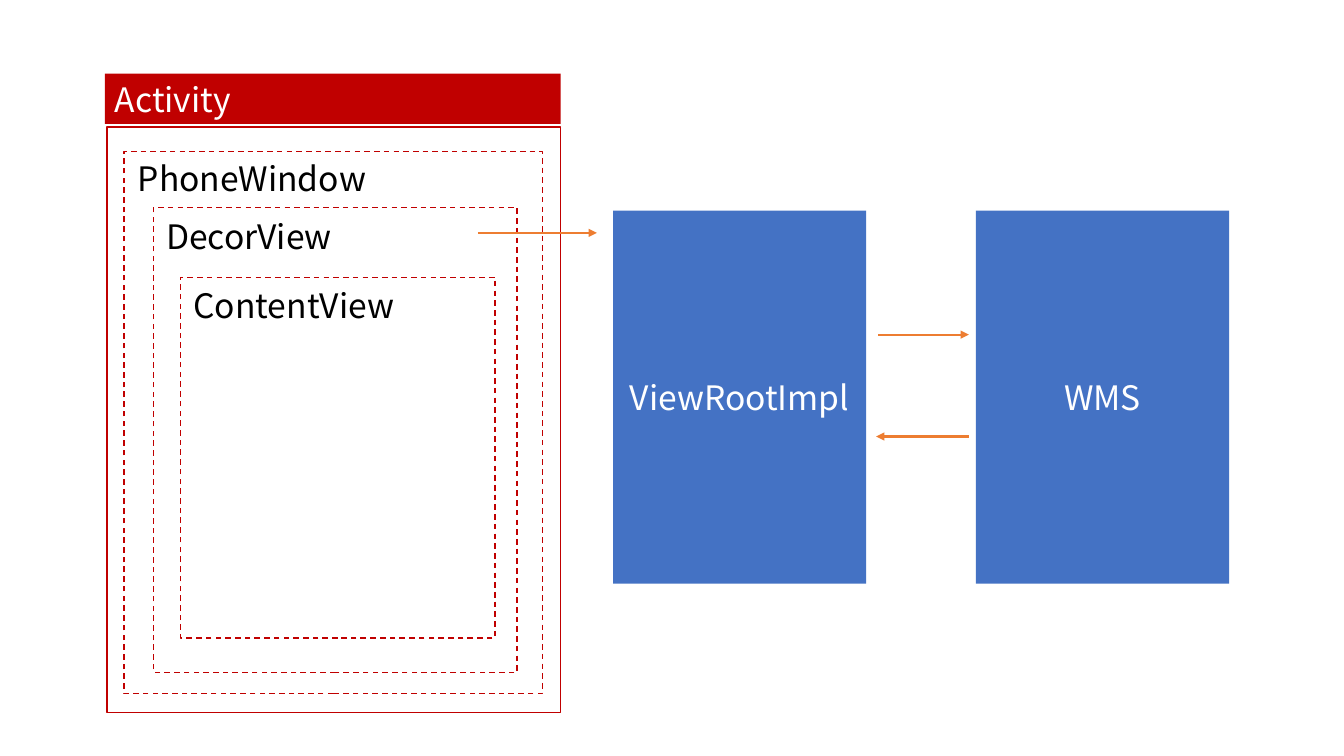
from lxml.etree import SubElement
from pptx import Presentation
from pptx.dml.color import RGBColor
from pptx.enum.dml import MSO_LINE
from pptx.enum.shapes import MSO_CONNECTOR, MSO_SHAPE
from pptx.enum.text import MSO_ANCHOR, MSO_AUTO_SIZE, PP_ALIGN
from pptx.oxml.ns import qn
from pptx.util import Pt

PX = 9144
FONT = "Noto Sans CJK SC"
COLORS = {
    "red": "C00000",
    "blue": "4472C4",
    "orange": "ED7D31",
    "black": "000000",
    "white": "FFFFFF",
}


def add_rectangle(bounds, fill=None, line=None):
    box = page.shapes.add_shape(MSO_SHAPE.RECTANGLE, *[n * PX for n in bounds])
    box.shadow.inherit = False
    if fill:
        box.fill.solid()
        box.fill.fore_color.rgb = RGBColor.from_string(COLORS[fill])
    else:
        box.fill.background()
    if line:
        box.line.color.rgb = RGBColor.from_string(COLORS[line])
        box.line.width = Pt(1)
    else:
        box.line.fill.background()
    return box


def write_text(box, text, color, align, anchor, wrap=True):
    frame = box.text_frame
    frame.word_wrap = wrap
    frame.vertical_anchor = anchor
    frame.text = text
    paragraph = frame.paragraphs[0]
    paragraph.alignment = align
    font = paragraph.runs[0].font
    font.name = FONT
    font.size = Pt(24)
    font.color.rgb = RGBColor.from_string(COLORS[color])


deck = Presentation()
deck.slide_width = 1333 * PX
deck.slide_height = 750 * PX
page = deck.slides.add_slide(deck.slide_layouts[6])

add_rectangle((106, 126, 450, 581), line="red")
header = add_rectangle((104, 73, 452, 50), fill="red")
write_text(header, "Activity", "white", PP_ALIGN.LEFT, MSO_ANCHOR.TOP)
header.text_frame.auto_size = MSO_AUTO_SIZE.SHAPE_TO_FIT_TEXT

nested_views = [
    ("PhoneWindow", (123, 150, 415, 538), (127, 152, 256, 50)),
    ("DecorView", (152, 206, 361, 461), (155, 209, 193, 50)),
    ("ContentView", (179, 275, 312, 358), (182, 278, 227, 50)),
]
for name, frame_bounds, label_bounds in nested_views:
    outline = add_rectangle(frame_bounds, line="red")
    outline.line.dash_style = MSO_LINE.DASH
    label = page.shapes.add_textbox(*[n * PX for n in label_bounds])
    write_text(label, name, "black", PP_ALIGN.LEFT, MSO_ANCHOR.TOP, wrap=False)
    label.text_frame.auto_size = MSO_AUTO_SIZE.SHAPE_TO_FIT_TEXT

for name, left in [("ViewRootImpl", 608), ("WMS", 968)]:
    block = add_rectangle((left, 209, 251, 370), fill="blue")
    write_text(block, name, "white", PP_ALIGN.CENTER, MSO_ANCHOR.MIDDLE)

for start, end, y in [(474, 592, 231), (871, 961, 332), (961, 869, 433)]:
    arrow = page.shapes.add_connector(
        MSO_CONNECTOR.STRAIGHT, start * PX, y * PX, end * PX, y * PX
    )
    arrow.line.color.rgb = RGBColor.from_string(COLORS["orange"])
    arrow.line.width = Pt(1.5)
    SubElement(arrow.line._get_or_add_ln(), qn("a:tailEnd"), type="triangle")
    SubElement(arrow._element.spPr, qn("a:effectLst"))

deck.save("out.pptx")
